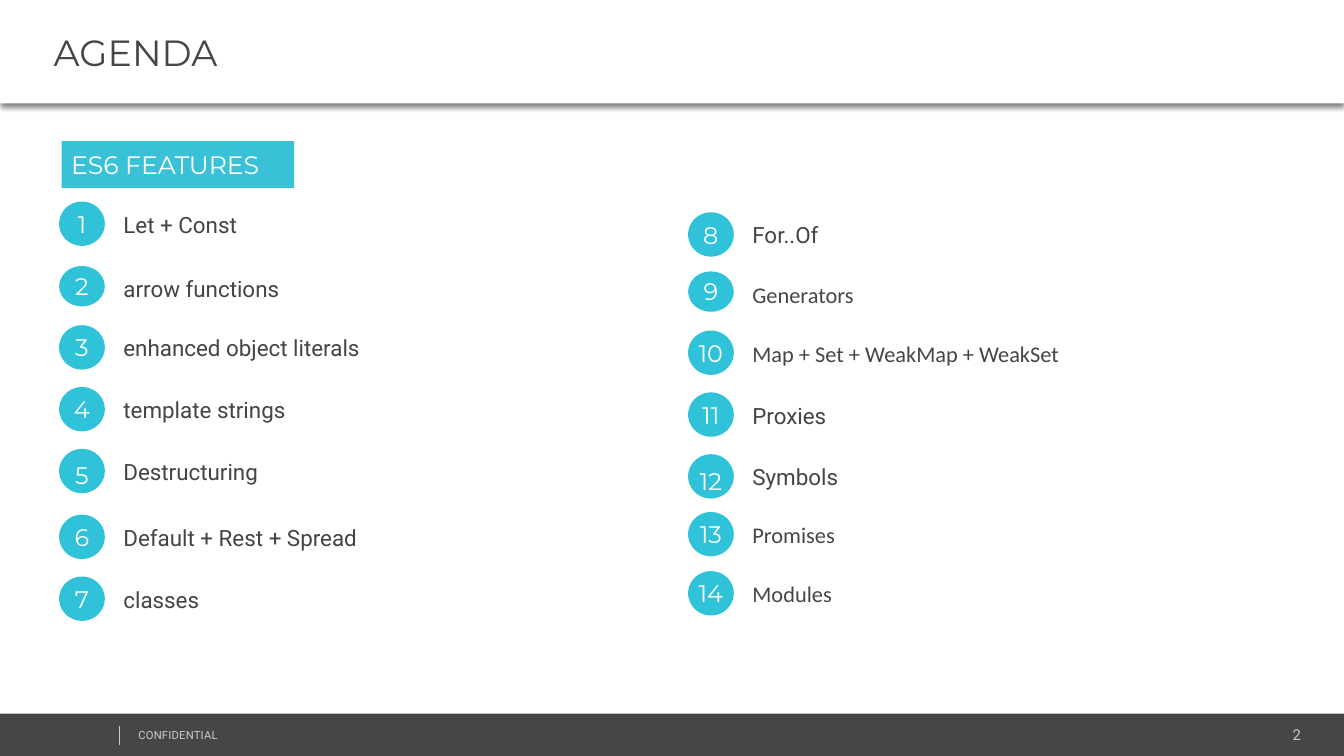
from lxml import etree
from pptx import Presentation
from pptx.dml.color import RGBColor
from pptx.enum.shapes import MSO_CONNECTOR as Connector, MSO_SHAPE as Shape
from pptx.enum.text import MSO_ANCHOR as Anchor, MSO_AUTO_SIZE as AutoSize, PP_ALIGN as Align
from pptx.oxml.ns import qn
from pptx.util import Inches, Pt

WHITE, DARK, GREY, LIGHT = "FFFFFF", "464547", "444444", "CCCCCC"
TURQUOISE, CYAN = "39C2D7", "2FC2D9"
HEADING, BODY, ALTERNATE = "Montserrat", "Roboto", "Calibri"

COLUMNS = [
    (0.44, [
        (1.5, "Let + Const", BODY),
        (1.98, "arrow functions", BODY),
        (2.42, "enhanced object literals", BODY),
        (2.88, "template strings", BODY),
        (3.34, "Destructuring", BODY),
        (3.83, "Default + Rest + Spread", BODY),
        (4.29, "classes", BODY),
    ]),
    (5.12, [
        (1.58, "For..Of", BODY),
        (2.02, "Generators", ALTERNATE),
        (2.46, "Map + Set + WeakMap + WeakSet", ALTERNATE),
        (2.92, "Proxies", BODY),
        (3.38, "Symbols", BODY),
        (3.81, "Promises", ALTERNATE),
        (4.25, "Modules", ALTERNATE),
    ]),
]
# Per row: disc height, offset of the number below the disc top, number height
ROW_SIZES = [(0.33, 0.03, 0.2), (0.3, 0.02, 0.18), (0.33, 0.03, 0.2), (0.33, 0.03, 0.2),
             (0.33, 0.02, 0.28), (0.33, 0, 0.26), (0.33, 0, 0.26)]


def color(value):
    return RGBColor.from_string(value)


def write(shape, text, font, size, ink, align=Align.LEFT, anchor=Anchor.TOP,
          insets=(0.1, 0.05, 0.1, 0.05), wrap=True, grow=False):
    """Fill the shape with one line of text and return its paragraph."""
    frame = shape.text_frame
    frame.word_wrap = wrap
    frame.auto_size = AutoSize.SHAPE_TO_FIT_TEXT if grow else AutoSize.NONE
    frame.vertical_anchor = anchor
    (frame.margin_left, frame.margin_top,
     frame.margin_right, frame.margin_bottom) = map(Inches, insets)
    para = frame.paragraphs[0]
    para.alignment = align
    span = para.add_run()
    span.text = text
    span.font.name = font
    span.font.size = Pt(size)
    span.font.color.rgb = color(ink)
    return para


def add_filled(parent, kind, left, top, width, height, fill):
    shape = parent.shapes.add_shape(kind, *map(Inches, (left, top, width, height)))
    shape.shadow.inherit = False
    shape.fill.solid()
    shape.fill.fore_color.rgb = color(fill)
    shape.line.fill.background()
    return shape


def add_text(parent, left, top, width, height, *content, **layout):
    box = parent.shapes.add_textbox(*map(Inches, (left, top, width, height)))
    return write(box, *content, **layout)


def add_shadow(shape):
    effects = shape._element.spPr.find(qn("a:effectLst"))
    shadow = etree.SubElement(effects, qn("a:outerShdw"), blurRad=str(Pt(3.1)),
                              dist=str(Pt(2)), dir="5400000", algn="t", rotWithShape="0")
    ink = etree.SubElement(shadow, qn("a:srgbClr"), val="000000")
    etree.SubElement(ink, qn("a:alpha"), val="30000")


def add_footer(page):
    insets = (0.07, 0.04, 0.07, 0.04)
    add_filled(page, Shape.RECTANGLE, 0, 5.31, 10.01, 0.33, DARK)
    add_text(page, 8.12, 5.36, 1.63, 0.21, "2", BODY, 8, LIGHT,
             align=Align.RIGHT, insets=insets, grow=True)
    para = add_text(page, 0.96, 5.38, 2.53, 0.18, "CONFIDENTIAL", BODY, 6, LIGHT,
                    insets=insets, grow=True)
    para.runs[0].font._element.set("spc", "10")
    divider = page.shapes.add_connector(
        Connector.STRAIGHT, *map(Inches, (0.89, 5.4, 0.89, 5.54)))
    divider.line.color.rgb = color(LIGHT)
    divider.line.width = Pt(0.25)
    etree.SubElement(divider._element.spPr, qn("a:effectLst"))


def add_header(page):
    add_shadow(add_filled(page, Shape.RECTANGLE, 0, 0, 10, 0.76, WHITE))
    tag = add_filled(page, Shape.RECTANGLE, 0.46, 1.05, 1.73, 0.35, TURQUOISE)
    write(tag, "ES6 FEATURES", HEADING, 13.5, WHITE, anchor=Anchor.MIDDLE,
          insets=(0.07, 0.06, 0.07, 0.06))
    title = add_filled(page, Shape.RECTANGLE, 0, 0, 10, 0.77, WHITE)
    add_shadow(title)
    para = write(title, "AGENDA", HEADING, 19.5, DARK, anchor=Anchor.MIDDLE,
                 insets=(0.4, 0.05, 0.1, 0.05))
    para.space_before = Pt(3.9)


def add_item(page, number, left, top, text, font, sizes):
    disc_height, number_offset, number_height = sizes
    item = page.shapes.add_group_shape()
    add_text(item, left + 0.38, top + 0.02, 6, 0.3, text, font, 12,
             GREY if font == BODY else DARK, grow=True)
    add_filled(item, Shape.OVAL, left, top, 0.34, disc_height, CYAN)
    add_text(item, left + 0.04, top + number_offset, 0.26, number_height,
             str(number), HEADING, 12.8, WHITE, align=Align.CENTER,
             anchor=Anchor.MIDDLE, insets=(0.1, 0.07, 0.1, 0), wrap=False)


def main():
    deck = Presentation()
    deck.slide_width = Inches(10)
    deck.slide_height = deck.slide_width * 9 // 16
    page = deck.slides.add_slide(deck.slide_layouts[6])
    add_footer(page)
    add_header(page)
    number = 0
    for left, items in COLUMNS:
        for (top, text, font), sizes in zip(items, ROW_SIZES):
            number += 1
            add_item(page, number, left, top, text, font, sizes)
    deck.save("out.pptx")


if __name__ == "__main__":
    main()
